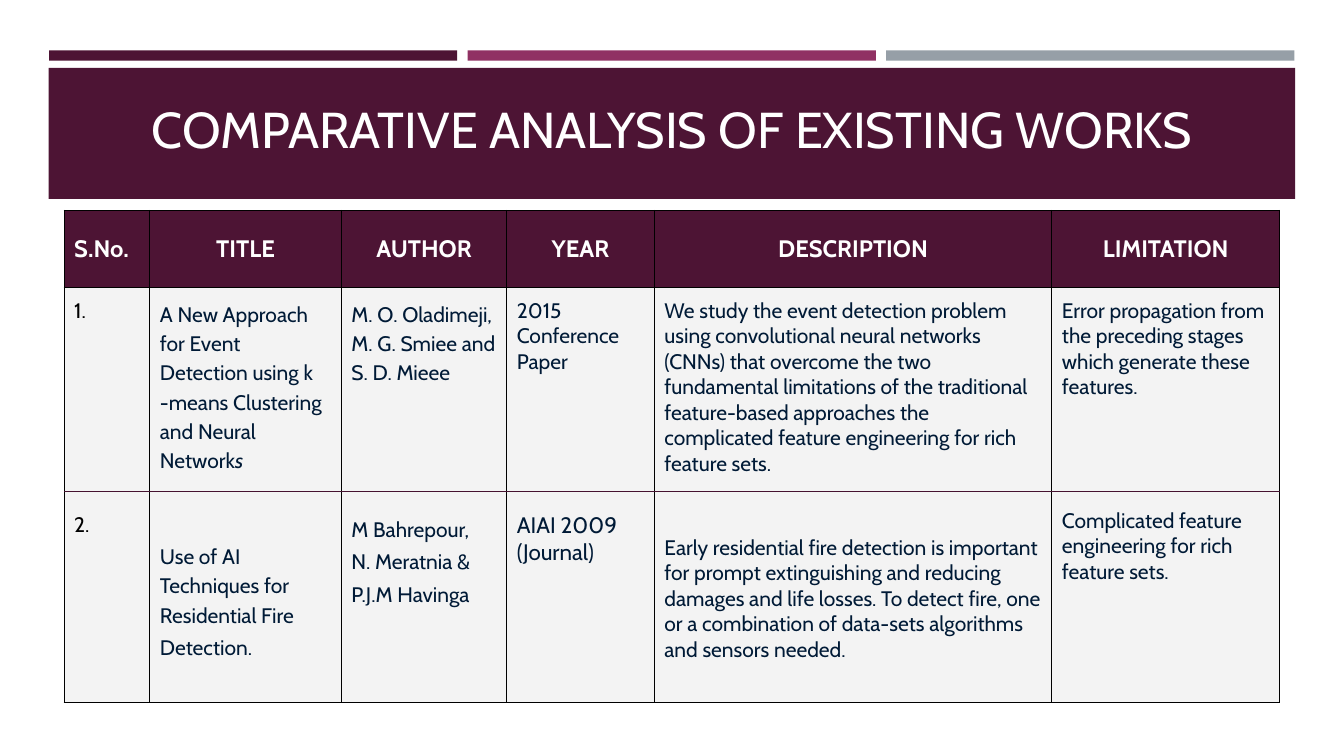
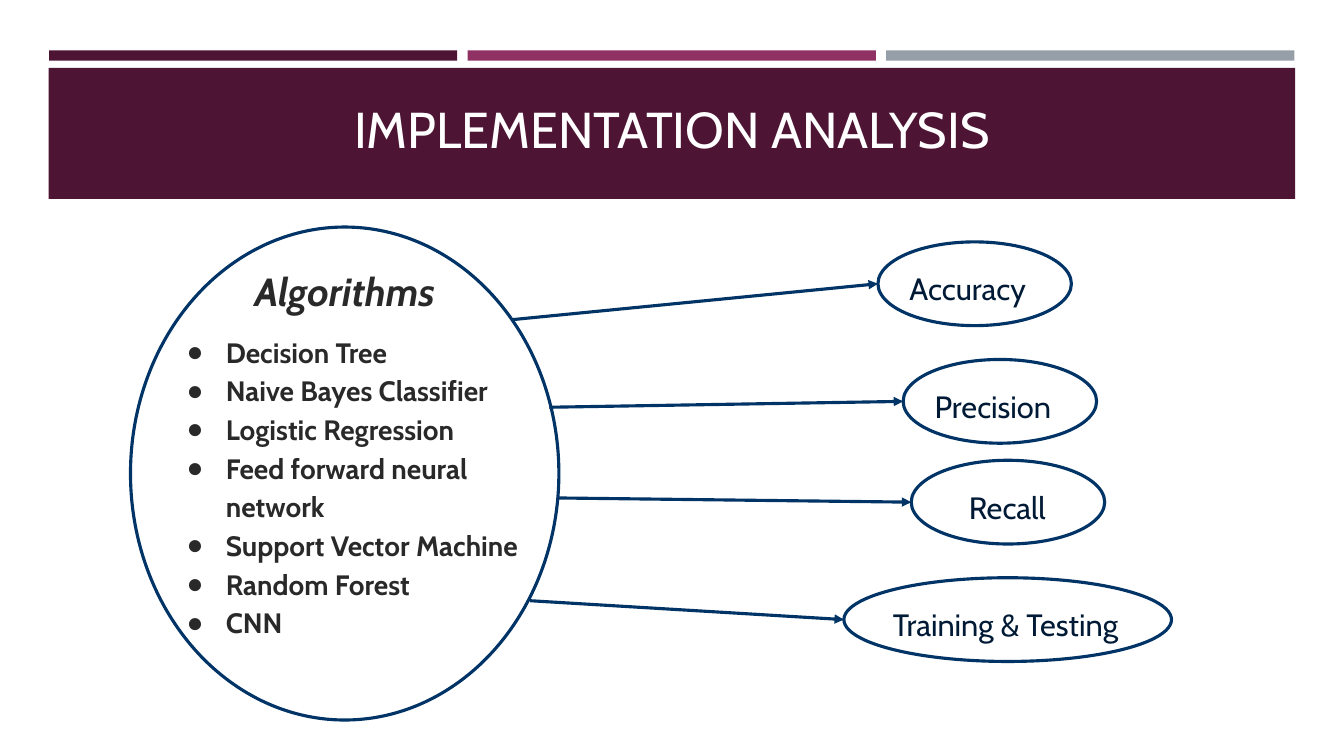
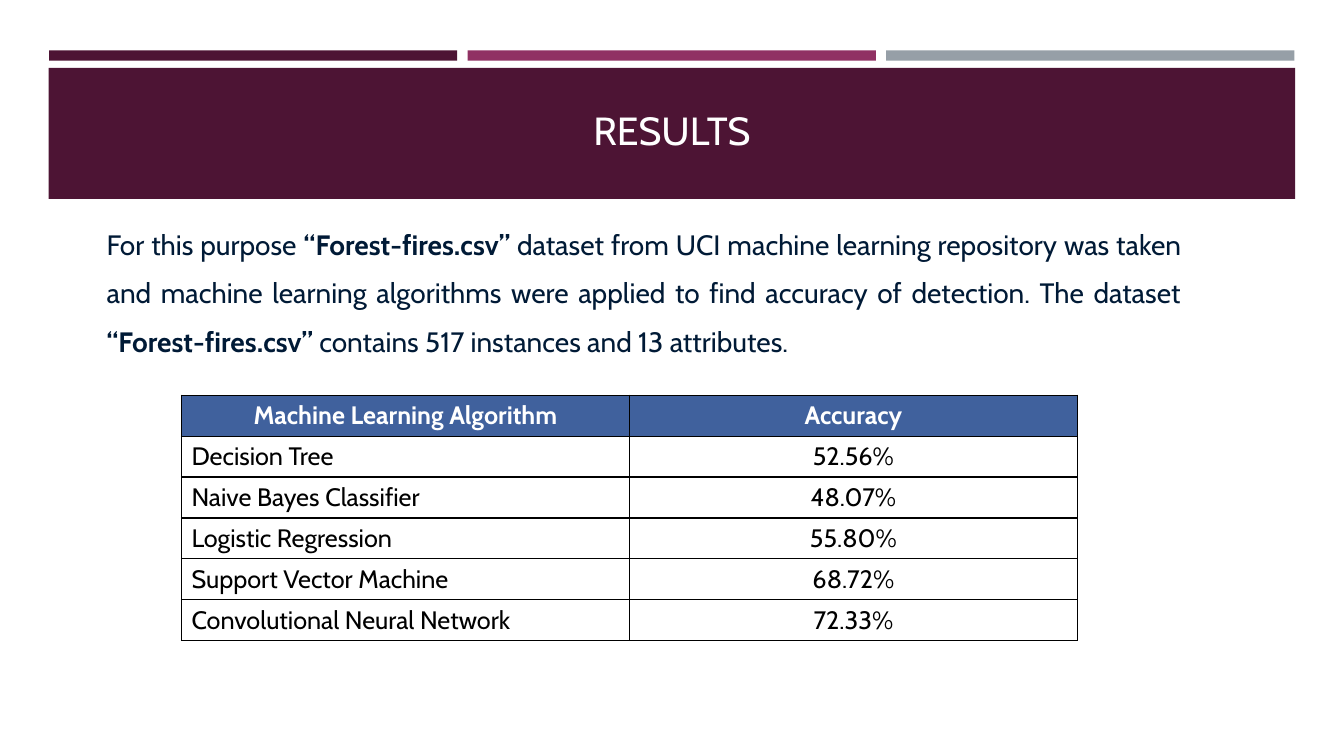
"""Build three slides on fire detection research: related works, implementation and results."""
from dataclasses import dataclass, replace
from typing import NamedTuple, Optional, Sequence, Union

from lxml.etree import SubElement
from pptx import Presentation
from pptx.dml.color import RGBColor
from pptx.enum.shapes import MSO_CONNECTOR, MSO_SHAPE
from pptx.enum.text import MSO_ANCHOR, MSO_AUTO_SIZE, PP_ALIGN
from pptx.oxml import parse_xml
from pptx.oxml.ns import nsdecls, qn
from pptx.util import Pt


@dataclass(frozen=True)
class Theme:
    """Colours, font and type sizes of the deck."""
    plum: str = "4D1434"
    dark_plum: str = "45122F"
    magenta: str = "903163"
    grey: str = "969FA7"
    blue: str = "003366"
    header_blue: str = "40619D"
    navy: str = "001A36"
    charcoal: str = "292929"
    pale: str = "F3F3F3"
    white: str = "FFFFFF"
    black: str = "000000"
    font: str = "Cabin"
    title: int = 36
    heading: int = 28
    label: int = 22
    body: int = 20
    results: int = 18
    header: int = 17
    year: int = 16
    cell: int = 15


THEME = Theme()


class Box(NamedTuple):
    """Left, top, width and height in points."""
    left: float
    top: float
    width: float
    height: float

    def lengths(self) -> tuple:
        """Return the four sides as slide lengths."""
        return tuple(Pt(side) for side in self)


class Span(NamedTuple):
    """Words that differ from the rest of their paragraph."""
    text: str
    bold: bool = False
    italic: bool = False


Line = Union[str, Sequence[Union[str, Span]]]


@dataclass(frozen=True)
class Style:
    """Look of a block of paragraphs."""
    size: int
    color: str
    bold: bool = False
    italic: bool = False
    align: PP_ALIGN = PP_ALIGN.LEFT
    spacing: float = 1.0
    gap: float = 0
    bullet: str = ""


class Block(NamedTuple):
    """Paragraphs of one style and the space before the first."""
    lines: Sequence[Line]
    style: Style
    before: float = 0


@dataclass(frozen=True)
class Entry:
    """Content of one table cell."""
    blocks: Sequence[Block]
    fill: str
    anchor: MSO_ANCHOR = MSO_ANCHOR.TOP
    vertical: float = 7.2


class Metric(NamedTuple):
    """Measured quality: its oval, arrow start and label inset on the right."""
    name: str
    oval: Box
    arrow_x: float
    arrow_y: float
    inset: float


CELL = Style(THEME.cell, THEME.navy)
LOOSE = replace(CELL, spacing=1.15, gap=2)
NUMBER = replace(CELL, color=THEME.black)
YEAR = replace(CELL, size=THEME.year)
HEADER = Style(THEME.header, THEME.white, bold=True, align=PP_ALIGN.CENTER)
RESULT = Style(THEME.results, THEME.black)
LABEL = Style(THEME.label, THEME.navy, align=PP_ALIGN.CENTER)

WORKS_LEFT, WORKS_TOP = 45.8, 150.4
WORK_COLUMNS = (61.2, 136.8, 118.2, 105.4, 284, 162.7)
WORK_ROWS = (55.2, 296)
WORK_DIVIDER = 351.2
WORK_HEADERS = ("S.No.", "TITLE", "AUTHOR", "YEAR", "DESCRIPTION", "LIMITATION")
WORKS = (
    (Block(["1."], NUMBER), Block(["2."], NUMBER, 135)),
    (Block([["A New Approach for Event Detection using k -means Clustering and Neural Network",
             Span("s", italic=True)]], LOOSE),
     Block(["Use of AI Techniques for Residential Fire", "Detection."], LOOSE, 47.5)),
    (Block(["M. O. Oladimeji, M. G. Smiee and S. D. Mieee"], LOOSE),
     Block(["M Bahrepour,", "N. Meratnia &", "P.J.M Havinga"], LOOSE, 91.3)),
    (Block(["2015 Conference Paper"], CELL),
     Block(["AIAI 2009", "(Journal)"], YEAR, 98.2)),
    (Block(["We study the event detection problem using convolutional neural networks (CNNs) "
            "that overcome the two fundamental limitations of the traditional feature-based "
            "approaches the complicated feature engineering for rich feature sets."], CELL),
     Block(["Early residential fire detection is important",
            "for prompt extinguishing and reducing damages and life losses. To detect fire, "
            "one or a combination of data-sets algorithms and sensors needed."], CELL, 41.7)),
    (Block(["Error propagation from the preceding stages which generate these features."], CELL),
     Block(["Complicated feature engineering for rich feature sets."], CELL, 77.1)),
)

ALGORITHMS = ("Decision Tree", "Naive Bayes Classifier", "Logistic Regression",
              "Feed forward neural network", "Support Vector Machine", "Random Forest", "CNN")
METRICS = (
    Metric("Accuracy", Box(627.1, 172.8, 138.2, 59.8), 365.2, 228.4, 10),
    Metric("Precision", Box(645.1, 256.8, 138.2, 59.8), 392.4, 290.9, 10),
    Metric("Recall", Box(650.9, 328.8, 138.2, 59.8), 398.9, 355.7, 1),
    Metric("Training & Testing", Box(602.8, 412.7, 234, 59.8), 378.7, 429.1, 3),
)

DATASET = Span("“Forest-fires.csv”", bold=True)
DATASET_NOTE = (
    "For this purpose ", DATASET,
    " dataset from UCI machine learning repository was taken and machine learning algorithms "
    "were applied to find accuracy of detection. The dataset ", DATASET,
    " contains 517 instances and 13 attributes.",
)
ACCURACIES = (
    ("Decision Tree", "52.56%"),
    ("Naive Bayes Classifier", "48.07%"),
    ("Logistic Regression", "55.80%"),
    ("Support Vector Machine", "68.72%"),
    ("Convolutional Neural Network", "72.33%"),
)


def rgb(color: str) -> RGBColor:
    """Turn a hex colour into an RGBColor."""
    return RGBColor.from_string(color)


def write_line(paragraph, line: Line, style: Style, before: float) -> None:
    """Fill and format one paragraph."""
    properties = paragraph._p.get_or_add_pPr()
    properties.set("marL", str(Pt(36 if style.bullet else 0)))
    properties.set("indent", str(Pt(-28 if style.bullet else 0)))
    if style.bullet:
        SubElement(properties, qn("a:buChar"), char=style.bullet)
    else:
        SubElement(properties, qn("a:buNone"))
    paragraph.alignment = style.align
    paragraph.line_spacing = style.spacing
    paragraph.space_before = Pt(before)
    font = paragraph.font
    font.name, font.size = THEME.font, Pt(style.size)
    font.bold, font.italic = style.bold, style.italic
    font.color.rgb = rgb(style.color)
    for part in [line] if isinstance(line, str) else line:
        span = Span(part) if isinstance(part, str) else part
        run = paragraph.add_run()
        run.text = span.text
        if span.bold:
            run.font.bold = True
        if span.italic:
            run.font.italic = True


def write(frame, *blocks: Block) -> None:
    """Fill an empty text frame with blocks of paragraphs."""
    paragraph = frame.paragraphs[0]
    for block in blocks:
        for index, line in enumerate(block.lines):
            if paragraph is None:
                paragraph = frame.add_paragraph()
            write_line(paragraph, line, block.style, block.style.gap if index else block.before)
            paragraph = None


def set_frame(frame, anchor: MSO_ANCHOR, horizontal: float = 7.2, vertical: float = 7.2) -> None:
    """Wrap a text frame and set its anchor and insets."""
    frame.word_wrap = True
    frame.auto_size = MSO_AUTO_SIZE.NONE
    frame.vertical_anchor = anchor
    frame.margin_left = frame.margin_right = Pt(horizontal)
    frame.margin_top = frame.margin_bottom = Pt(vertical)


def fill_placeholder(holder, box: Box, block: Block, anchor: MSO_ANCHOR = MSO_ANCHOR.TOP,
                     vertical: float = 7.2) -> None:
    """Move a placeholder and write its text."""
    holder.left, holder.top, holder.width, holder.height = box.lengths()
    set_frame(holder.text_frame, anchor, vertical=vertical)
    write(holder.text_frame, block)


def add_bands(deck, slide) -> None:
    """Draw the coloured bands and hand them to the slide master."""
    bands = [(Box(35 + 299 * index, 36, 291.6, 7.4), color)
             for index, color in enumerate((THEME.plum, THEME.magenta, THEME.grey))]
    bands.append((Box(34.8, 48.5, 890.4, 93.6), THEME.plum))
    for box, color in bands:
        band = slide.shapes.add_shape(MSO_SHAPE.RECTANGLE, *box.lengths())
        band.shadow.inherit = False
        band.fill.solid()
        band.fill.fore_color.rgb = rgb(color)
        band.line.fill.background()
        deck.slide_master.shapes.element.append(band.element)


def add_slide(deck, layout: int, title: str, size: int = THEME.title):
    """Add a slide with its title on the plum band."""
    slide = deck.slides.add_slide(deck.slide_layouts[layout])
    style = Style(size, THEME.white, align=PP_ALIGN.CENTER, spacing=0.85)
    fill_placeholder(slide.shapes.title, Box(45.8, 55.4, 868.3, 79.9), Block([title], style),
                     MSO_ANCHOR.MIDDLE, 3.6)
    return slide


def add_grid(slide, left: float, top: float, widths: Sequence[float], heights: Sequence[float],
             rows: Sequence[Sequence[Entry]]) -> None:
    """Draw a table with thin black borders."""
    box = Box(left, top, sum(widths), sum(heights))
    table = slide.shapes.add_table(len(heights), len(widths), *box.lengths()).table
    table.first_row = table.horz_banding = False
    for column, width in zip(table.columns, widths):
        column.width = Pt(width)
    for row, height, entries in zip(table.rows, heights, rows):
        row.height = Pt(height)
        for cell, entry in zip(row.cells, entries):
            cell.margin_left = cell.margin_right = Pt(7.2)
            cell.margin_top = cell.margin_bottom = Pt(entry.vertical)
            cell.vertical_anchor = entry.anchor
            cell.fill.solid()
            cell.fill.fore_color.rgb = rgb(entry.fill)
            for index, side in enumerate("LRTB"):
                cell._tc.get_or_add_tcPr().insert(index, parse_xml(
                    f'<a:ln{side} {nsdecls("a")} w="{Pt(1)}"><a:solidFill>'
                    f'<a:srgbClr val="{THEME.black}"/></a:solidFill></a:ln{side}>'))
            write(cell.text_frame, *entry.blocks)


def add_oval(slide, box: Box, label: Optional[str] = None, inset: float = 0) -> None:
    """Draw an outlined oval with an optional label."""
    oval = slide.shapes.add_shape(MSO_SHAPE.OVAL, *box.lengths())
    oval.shadow.inherit = False
    oval.fill.background()
    oval.line.color.rgb = rgb(THEME.blue)
    oval.line.width = Pt(2.25)
    if label:
        frame = oval.text_frame
        set_frame(frame, MSO_ANCHOR.MIDDLE, 0, 0)
        frame.word_wrap = False
        frame.margin_top, frame.margin_right = Pt(7), Pt(inset)
        write(frame, Block([label], LABEL))


def add_line(slide, ends: Sequence[float], color: str, width: float):
    """Draw a straight line without a shadow."""
    line = slide.shapes.add_connector(MSO_CONNECTOR.STRAIGHT, *(Pt(end) for end in ends))
    line.line.color.rgb = rgb(color)
    line.line.width = Pt(width)
    SubElement(line._element.spPr, qn("a:effectLst"))
    return line


def add_arrow(slide, metric: Metric) -> None:
    """Draw an arrow from the algorithms to the left end of a metric's oval."""
    oval = metric.oval
    ends = (metric.arrow_x, metric.arrow_y, oval.left, oval.top + oval.height / 2)
    arrow = add_line(slide, ends, THEME.blue, 2.25)
    SubElement(arrow.line._get_or_add_ln(), qn("a:tailEnd"), type="triangle")


def build_works(deck) -> None:
    """Build the table of existing works."""
    slide = add_slide(deck, 5, "COMPARATIVE ANALYSIS OF EXISTING WORKS")
    add_bands(deck, slide)
    headers = [Entry([Block([name], HEADER if index else replace(HEADER, align=PP_ALIGN.LEFT))],
                     THEME.plum, MSO_ANCHOR.MIDDLE)
               for index, name in enumerate(WORK_HEADERS)]
    works = [Entry(blocks, THEME.pale) for blocks in WORKS]
    add_grid(slide, WORKS_LEFT, WORKS_TOP, WORK_COLUMNS, WORK_ROWS, (headers, works))
    right = WORKS_LEFT + sum(WORK_COLUMNS)
    add_line(slide, (right, WORK_DIVIDER, WORKS_LEFT, WORK_DIVIDER), THEME.dark_plum, 1)


def build_implementation(deck) -> None:
    """Build the diagram from algorithms to metrics."""
    slide = add_slide(deck, 1, "IMPLEMENTATION ANALYSIS")
    items = Style(THEME.body, THEME.charcoal, bold=True, spacing=1.15, bullet="●")
    fill_placeholder(slide.placeholders[1], Box(118.1, 228.6, 295.2, 237.6),
                     Block(ALGORITHMS, items))
    add_oval(slide, Box(93.2, 162.2, 306, 352.1))
    heading = slide.shapes.add_textbox(*Box(98.7, 178.6, 295.2, 53.3).lengths())
    set_frame(heading.text_frame, MSO_ANCHOR.TOP)
    write(heading.text_frame, Block(["Algorithms"], Style(
        THEME.heading, THEME.charcoal, True, True, PP_ALIGN.CENTER, 1.15)))
    for metric in METRICS:
        add_oval(slide, metric.oval, metric.name, metric.inset)
        add_arrow(slide, metric)


def build_results(deck) -> None:
    """Build the dataset note and the accuracy table."""
    slide = add_slide(deck, 1, "RESULTS", THEME.heading)
    style = Style(THEME.body, THEME.navy, align=PP_ALIGN.JUSTIFY, spacing=1.44)
    note = slide.placeholders[1]
    fill_placeholder(note, Box(33.1, 148.3, 868.3, 350.6), Block([DATASET_NOTE], style),
                     vertical=3.6)
    note.text_frame.margin_left, note.text_frame.margin_right = Pt(43), Pt(57.4)
    header = replace(HEADER, size=THEME.results)
    centred = replace(RESULT, align=PP_ALIGN.CENTER)
    rows = [[Entry([Block([name], header)], THEME.header_blue, vertical=3.6)
             for name in ("Machine Learning Algorithm", "Accuracy")]]
    rows += [[Entry([Block([text], style)], THEME.white, vertical=3.6)
              for text, style in zip(pair, (RESULT, centred))] for pair in ACCURACIES]
    add_grid(slide, 129.6, 282.4, [320] * 2, [29.2] * len(rows), rows)


def main() -> None:
    """Build and save the deck."""
    deck = Presentation()
    deck.slide_width, deck.slide_height = Pt(960), Pt(540)
    build_works(deck)
    build_implementation(deck)
    build_results(deck)
    deck.save("out.pptx")


if __name__ == "__main__":
    main()
